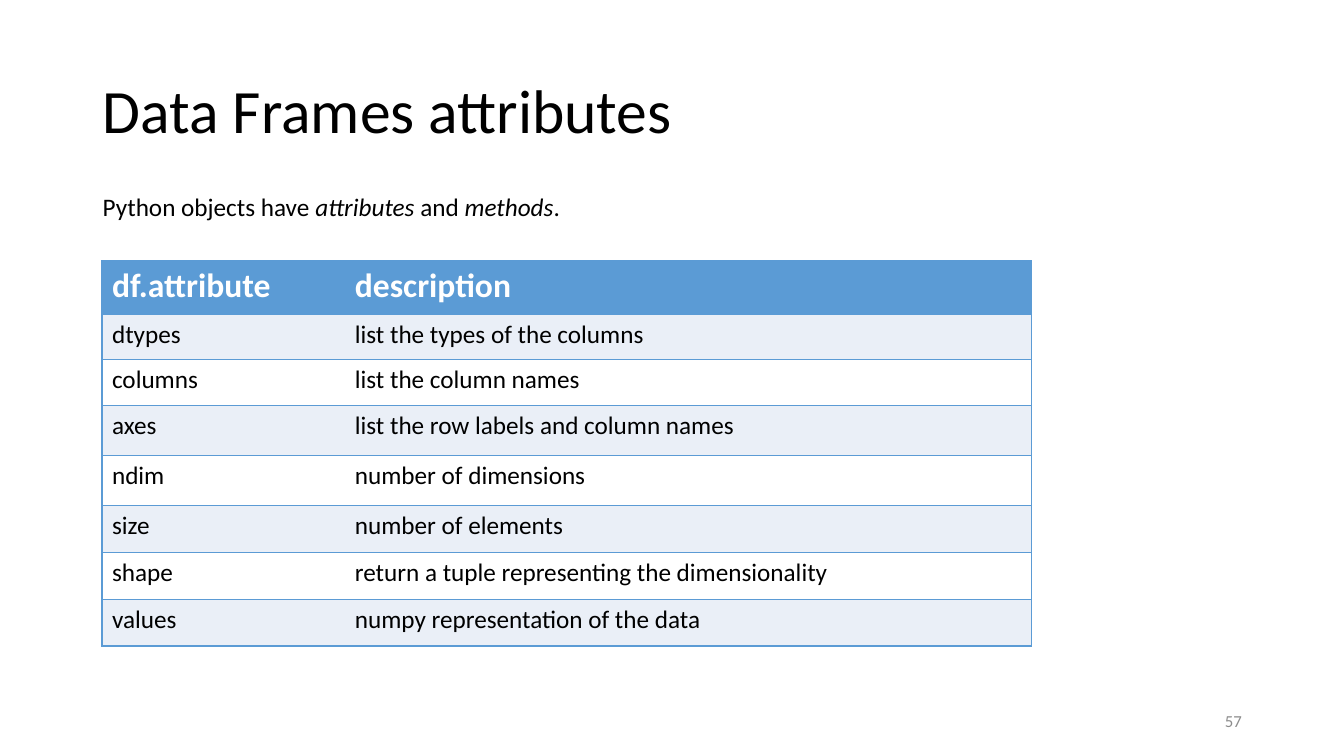
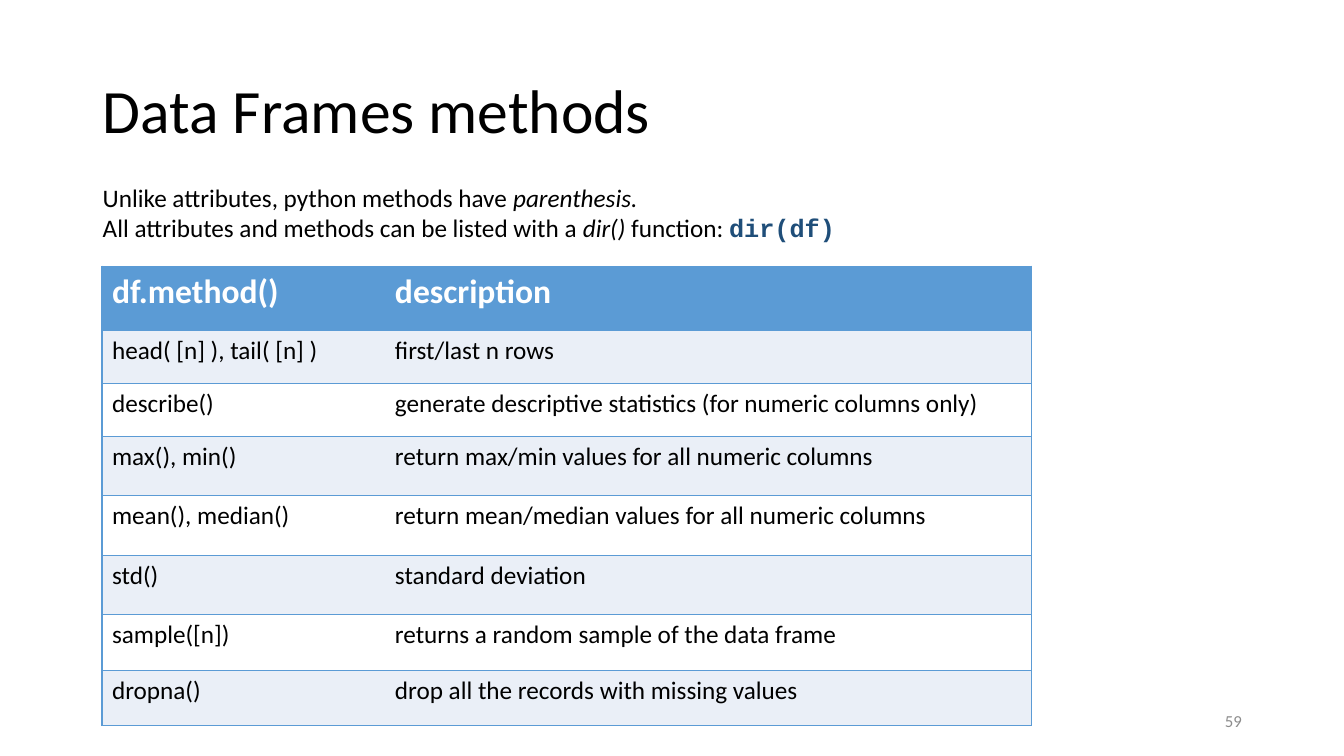
from lxml.etree import SubElement
from pptx import Presentation
from pptx.dml.color import RGBColor
from pptx.enum.text import MSO_ANCHOR as Anchor, PP_ALIGN as Align
from pptx.oxml.ns import qn
from pptx.util import Cm, Pt

COLORS = {"ink": "000000", "muted": "8C8C8C", "accent": "5B9BD5",
          "band": "EAEFF7", "paper": "FFFFFF", "code": "1F4E79"}
BODY_FONT, CODE_FONT = "Calibri", "Courier New"
NO_GRID_STYLE = "{2D5ABB26-0587-4C30-8999-92F81FD0307C}"
TEXT_LEFT, TABLE_LEFT = 2.34, 2.57


class Deck:
    """Holds the shared style and the current slide."""

    def __init__(self):
        """Start a widescreen presentation."""
        self.prs = Presentation()
        self.prs.slide_width, self.prs.slide_height = Cm(33.87), Cm(19.05)

    def style(self, font, size, color="ink", bold=None):
        """Give a font the deck's typeface, a size and a colour."""
        font.name, font.size, font.bold = BODY_FONT, Pt(size), bold
        font.color.rgb = RGBColor.from_string(COLORS[color])

    def frame(self, left, top, width, height, anchor=Anchor.TOP):
        """Add a wrapping text box and return its text frame."""
        box = self.slide.shapes.add_textbox(Cm(left), Cm(top), Cm(width), Cm(height))
        box.text_frame.word_wrap = True
        box.text_frame.vertical_anchor = anchor
        return box.text_frame

    def new_slide(self, title, number):
        """Add a slide with its title and page number."""
        self.slide = self.prs.slides.add_slide(self.prs.slide_layouts[6])
        heading = self.frame(TEXT_LEFT, 1.02, 29.21, 3.68, Anchor.MIDDLE).paragraphs[0]
        heading.text, heading.line_spacing = title, 0.9
        self.style(heading.font, 44)
        page = self.frame(23.93, 17.65, 7.62, 1.02, Anchor.MIDDLE).paragraphs[0]
        page.text, page.alignment = str(number), Align.RIGHT
        self.style(page.font, 12, "muted")

    def intro(self, top, height, lines):
        """Add the lead text; each line is a list of (text, look) runs."""
        lead = self.frame(TEXT_LEFT, top, 20.8, height)
        for index, line in enumerate(lines):
            paragraph = lead.add_paragraph() if index else lead.paragraphs[0]
            self.style(paragraph.font, 18)
            for text, look in line:
                run = paragraph.add_run()
                run.text = text
                if look == "italic":
                    run.font.italic = True
                elif look == "code":
                    self.style(run.font, 18, "code", True)
                    run.font.name = CODE_FONT

    def border(self, cell, sides):
        """Draw accent lines on the named sides of a cell."""
        props = cell._tc.get_or_add_tcPr()
        for side in "LRTB":
            line = SubElement(props, qn(f"a:ln{side}"), w=str(Pt(1)))
            if side in sides:
                fill = SubElement(line, qn("a:solidFill"))
                SubElement(fill, qn("a:srgbClr"), val=COLORS["accent"])
            else:
                SubElement(line, qn("a:noFill"))

    def table(self, top, widths, heights, rows):
        """Add a banded two-column table with a header row."""
        table = self.slide.shapes.add_table(
            len(rows), len(widths), Cm(TABLE_LEFT), Cm(top),
            Cm(sum(widths)), Cm(sum(heights))).table
        table._tbl.tblPr.find(qn("a:tableStyleId")).text = NO_GRID_STYLE
        for column, width in zip(table.columns, widths):
            column.width = Cm(width)
        for r, (height, entries) in enumerate(zip(heights, rows)):
            table.rows[r].height = Cm(height)
            fill = "accent" if r == 0 else "band" if r % 2 else "paper"
            for c, entry in enumerate(entries):
                cell = table.cell(r, c)
                self.border(cell, "RTB" if c else "LTB")
                cell.fill.solid()
                cell.fill.fore_color.rgb = RGBColor.from_string(COLORS[fill])
                cell.text = entry
                font = cell.text_frame.paragraphs[0].font
                if r:
                    self.style(font, 18)
                else:
                    self.style(font, 24, "paper", True)


deck = Deck()

deck.new_slide("Data Frames attributes", 57)
deck.intro(4.7, 1.02, [[
    ("Python objects have ", None), ("attributes", "italic"),
    (" and ", None), ("methods", "italic"), (".", None)]])
deck.table(6.57, [6.12, 17.3], [1.36, 1.14, 1.14, 1.26, 1.27, 1.18, 1.18, 1.18], [
    ("df.attribute", "description"),
    ("dtypes", "list the types of the columns"),
    ("columns", "list the column names"),
    ("axes", "list the row labels and column names"),
    ("ndim", "number of dimensions"),
    ("size", "number of elements"),
    ("shape", "return a tuple representing the dimensionality"),
    ("values", "numpy representation of the data")])

deck.new_slide("Data Frames methods", 59)
deck.table(6.71, [7.13, 16.3], [1.61, 1.34, 1.34, 1.49, 1.5, 1.5, 1.4, 1.4], [
    ("df.method()", "description"),
    ("head( [n] ), tail( [n] )", "first/last n rows"),
    ("describe()", "generate descriptive statistics (for numeric columns only)"),
    ("max(), min()", "return max/min values for all numeric columns"),
    ("mean(), median()", "return mean/median values for all numeric columns"),
    ("std()", "standard deviation"),
    ("sample([n])", "returns a random sample of the data frame"),
    ("dropna()", "drop all the records with missing values")])
deck.intro(4.47, 1.8, [
    [("Unlike attributes, python methods have ", None), ("parenthesis.", "italic")],
    [("All attributes and methods can be listed with a ", None), ("dir() ", "italic"),
     ("function: ", None), ("dir(df)", "code")]])

deck.prs.save("out.pptx")
